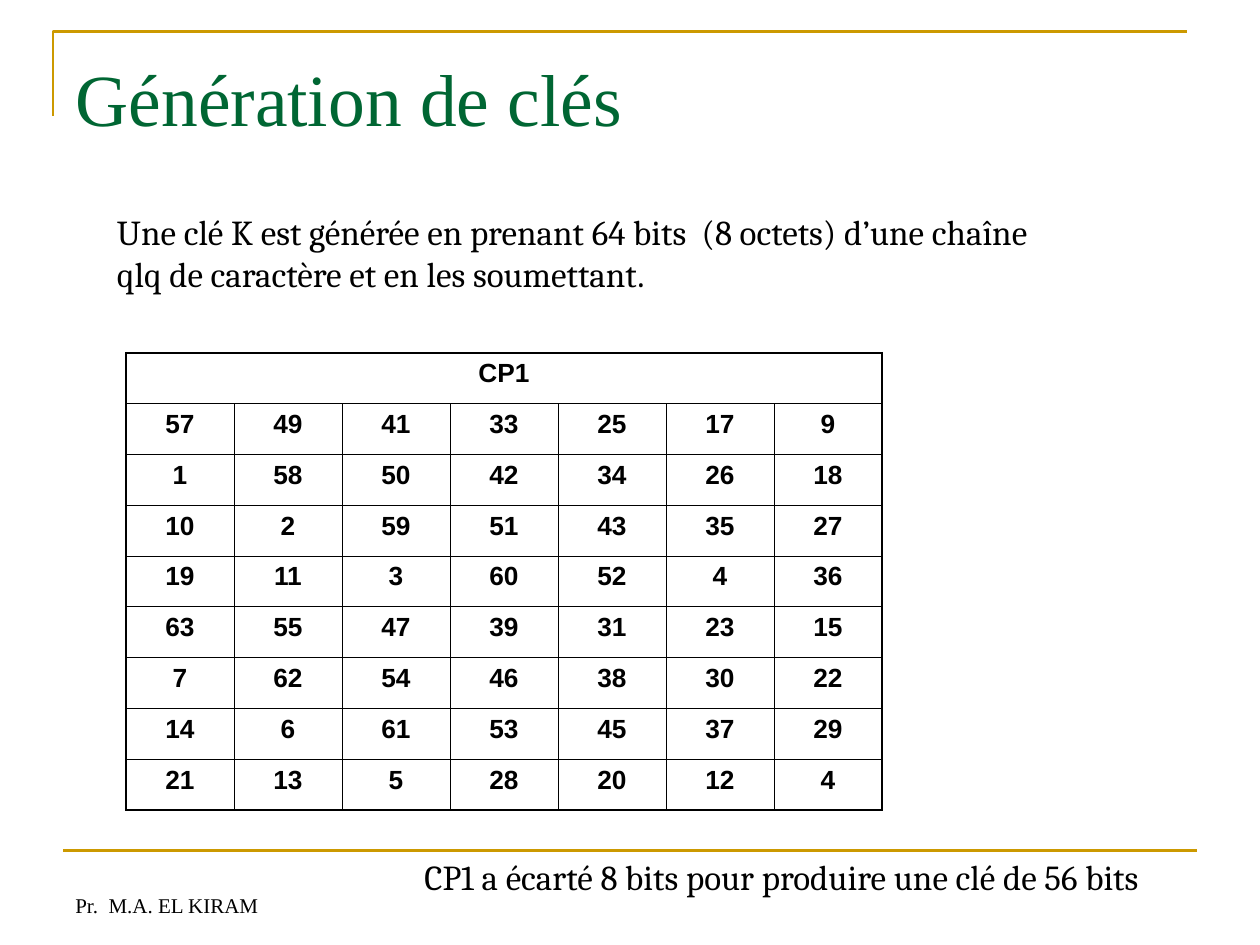
from dataclasses import dataclass

from lxml.etree import SubElement
from pptx import Presentation
from pptx.dml.color import RGBColor
from pptx.enum.shapes import MSO_CONNECTOR
from pptx.enum.text import MSO_ANCHOR, PP_ALIGN
from pptx.oxml.ns import qn
from pptx.util import Inches, Pt

TITLE = "Génération de clés"
TITLE_BOX = (0.5, 0.3, 9, 1.25)
FOOTER = "Pr.  M.A. EL KIRAM"
FOOTER_BOX = (0.5, 6.83, 2.33, 0.5)
BODY_TEXTS = [
    ("Une clé K est générée en prenant 64 bits  (8 octets) d’une chaîne "
     "qlq de caractère et en les soumettant.", (0.83, 1.62, 7.48, 0.77)),
    ("CP1 a écarté 8 bits pour produire une clé de 56 bits",
     (3.27, 6.74, 6.73, 0.77)),
]
TABLE_TITLE = "CP1"
TABLE_BOX = (1, 2.8, 6, 3.63)
PERMUTATION = [
    (57, 49, 41, 33, 25, 17, 9),
    (1, 58, 50, 42, 34, 26, 18),
    (10, 2, 59, 51, 43, 35, 27),
    (19, 11, 3, 60, 52, 4, 36),
    (63, 55, 47, 39, 31, 23, 15),
    (7, 62, 54, 46, 38, 30, 22),
    (14, 6, 61, 53, 45, 37, 29),
    (21, 13, 5, 28, 20, 12, 4),
]
CORNER = [(0.42, 0.92), (0.42, 0.25), (9.42, 0.25)]
FOOTER_RULE = (0.5, 6.75, 9.5, 6.75)


@dataclass(frozen=True)
class Theme:
    gold: str = "CC9900"
    green: str = "006633"
    black: str = "000000"
    serif: str = "Times New Roman"
    body: str = "Cambria"
    sans: str = "Arial"
    title_size: float = 42
    body_size: float = 20
    cell_size: float = 15
    footer_size: float = 12
    rule: float = 1.5
    outer_border: float = 1.08
    inner_border: float = 0.45


THEME = Theme()


def inches(values):
    return [Inches(value) for value in values]


def write(frame, text, font_name, size, color=THEME.black, bold=False,
          align=PP_ALIGN.LEFT, anchor=MSO_ANCHOR.TOP):
    frame.word_wrap = True
    frame.vertical_anchor = anchor
    paragraph = frame.paragraphs[0]
    paragraph.alignment = align
    run = paragraph.add_run()
    run.text = text
    run.font.name = font_name
    run.font.size = Pt(size)
    run.font.bold = bold
    run.font.color.rgb = RGBColor.from_string(color)


def style_rule(shape):
    shape.line.color.rgb = RGBColor.from_string(THEME.gold)
    shape.line.width = Pt(THEME.rule)


def add_rules(slide):
    points = [inches(point) for point in CORNER]
    builder = slide.shapes.build_freeform(*points[0], scale=1.0)
    builder.add_line_segments(points[1:], close=False)
    corner = builder.convert_to_shape()
    corner.fill.background()
    corner.shadow.inherit = False
    style_rule(corner)
    rule = slide.shapes.add_connector(MSO_CONNECTOR.STRAIGHT, *inches(FOOTER_RULE))
    style_rule(rule)
    SubElement(rule._element.spPr, qn("a:effectLst"))


def add_title(slide):
    title = slide.shapes.title
    title.left, title.top, title.width, title.height = inches(TITLE_BOX)
    title.text_frame.margin_top = Inches(0.12)
    write(title.text_frame, TITLE, THEME.serif, THEME.title_size, THEME.green)


def add_text(slide, text, box, *style, **options):
    shape = slide.shapes.add_textbox(*inches(box))
    write(shape.text_frame, text, *style, **options)


def set_borders(cell, outer_edges):
    properties = cell._tc.get_or_add_tcPr()
    for position, edge in enumerate(("lnL", "lnR", "lnT", "lnB")):
        width = THEME.outer_border if edge in outer_edges else THEME.inner_border
        line = SubElement(properties, qn(f"a:{edge}"), w=str(int(Pt(width))))
        fill = SubElement(line, qn("a:solidFill"))
        SubElement(fill, qn("a:srgbClr"), val=THEME.black)
        properties.remove(line)
        properties.insert(position, line)


def add_table(slide):
    row_count, column_count = len(PERMUTATION) + 1, len(PERMUTATION[0])
    left, top, width, height = inches(TABLE_BOX)
    table = slide.shapes.add_table(
        row_count, column_count, left, top, width, height).table
    table.horz_banding = False
    table.first_row = False
    for column in table.columns:
        column.width = width // column_count
    for row in table.rows:
        row.height = height // row_count
    table.cell(0, 0).merge(table.cell(0, column_count - 1))
    for row in range(row_count):
        for column in range(column_count):
            cell = table.cell(row, column)
            cell.fill.background()
            edges = {"lnL": column == 0, "lnR": column == column_count - 1,
                     "lnT": row == 0, "lnB": row == row_count - 1}
            if cell.is_merge_origin:
                edges["lnR"] = True
            set_borders(cell, [edge for edge, outer in edges.items() if outer])
            if cell.is_spanned:
                continue
            text = str(PERMUTATION[row - 1][column]) if row else TABLE_TITLE
            write(cell.text_frame, text, THEME.sans, THEME.cell_size,
                  bold=True, align=PP_ALIGN.CENTER)


def main():
    presentation = Presentation()
    presentation.slide_width, presentation.slide_height = inches((10, 7.5))
    slide = presentation.slides.add_slide(presentation.slide_layouts[5])
    add_rules(slide)
    add_text(slide, FOOTER, FOOTER_BOX, THEME.serif, THEME.footer_size,
             anchor=MSO_ANCHOR.BOTTOM)
    add_title(slide)
    add_table(slide)
    for text, box in BODY_TEXTS:
        add_text(slide, text, box, THEME.body, THEME.body_size)
    presentation.save("out.pptx")


if __name__ == "__main__":
    main()
